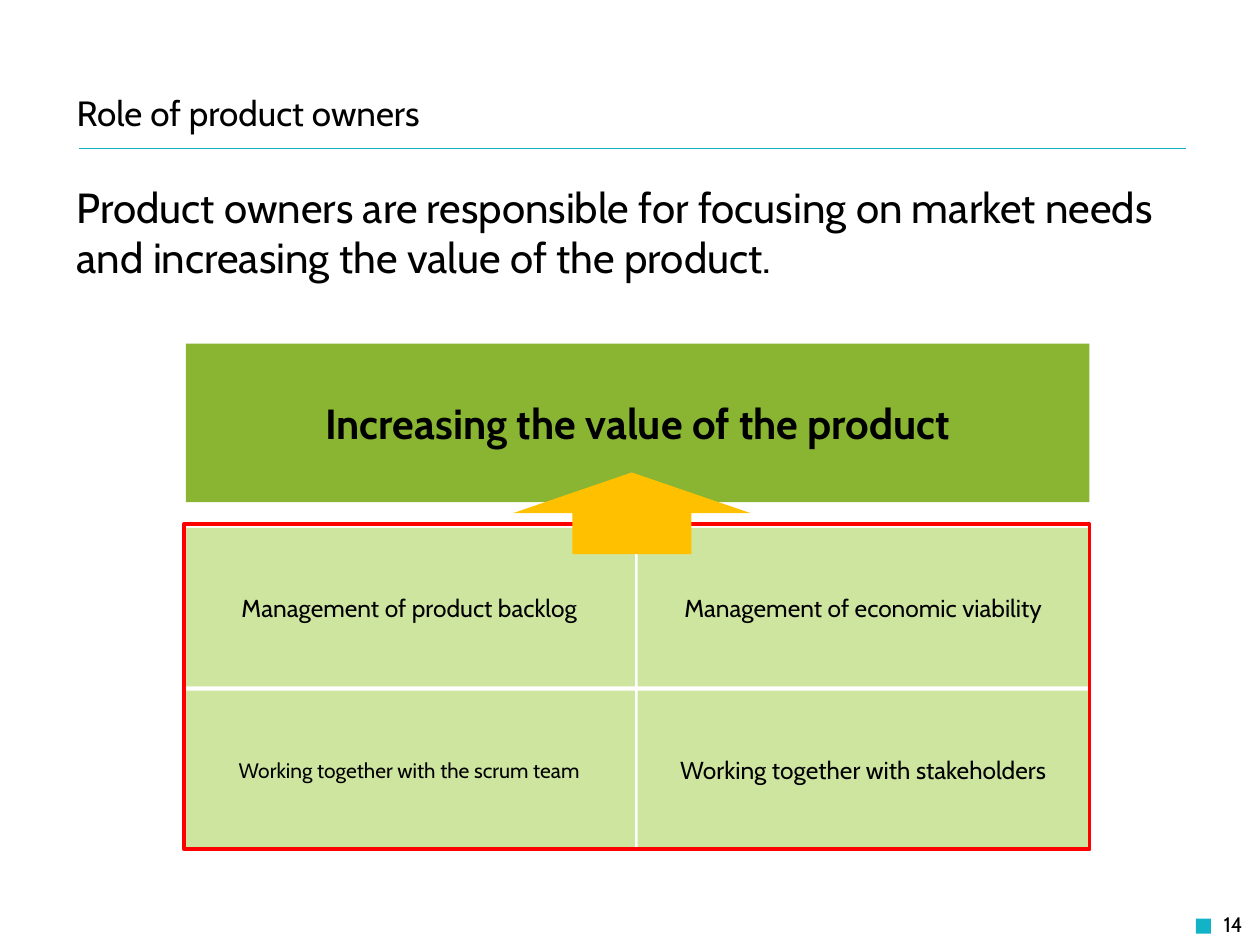
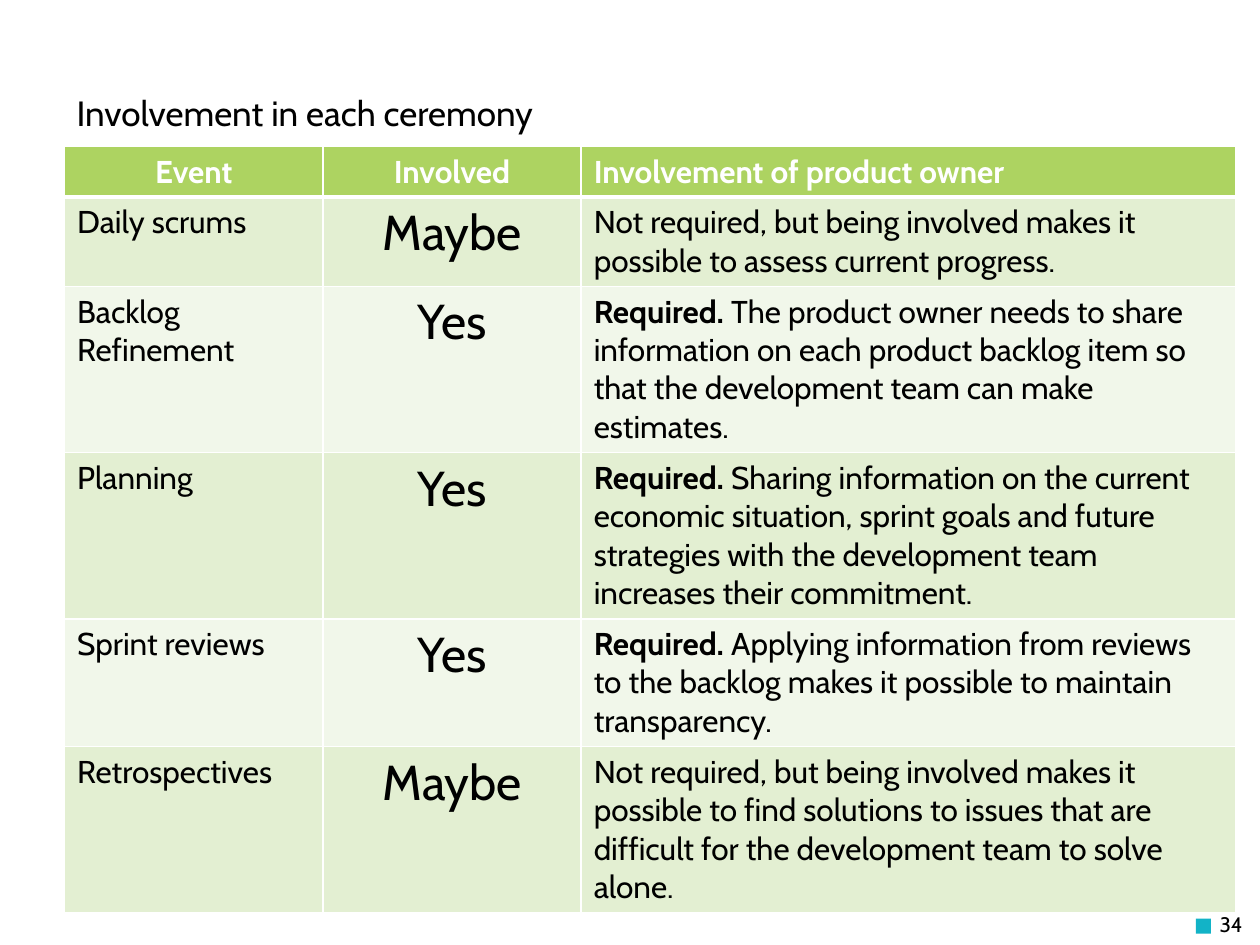
from dataclasses import dataclass

import pptx
import pptx.dml.color
import pptx.enum.shapes
import pptx.enum.text
import pptx.oxml
import pptx.oxml.ns
import pptx.util

Pt = pptx.util.Pt
SHAPES = pptx.enum.shapes.MSO_SHAPE
ALIGN = pptx.enum.text.PP_ALIGN
ANCHOR = pptx.enum.text.MSO_ANCHOR


@dataclass(frozen=True)
class Theme:
    font: str = "Cabin"
    ink: str = "000000"
    paper: str = "FFFFFF"
    accent: str = "12B3C7"
    goal: str = "89B532"
    duty: str = "CEE5A0"
    frame: str = "FF0000"
    arrow: str = "FFC000"
    header: str = "ADD361"
    bands: tuple = ("E3EFD2", "F1F7EA")
    title_size: float = 20
    lead_size: float = 24
    table_size: float = 18
    answer_size: float = 28
    duty_size: float = 14
    small_size: float = 12


THEME = Theme()

DUTIES = [
    [("Management of product backlog", THEME.duty_size),
     ("Management of economic viability", THEME.duty_size)],
    [("Working together with the scrum team", THEME.small_size),
     ("Working together with stakeholders", THEME.duty_size)],
]

COLUMN_WIDTHS = [147.6, 147.6, 374]
ROW_HEIGHTS = [28.5, 51, 95, 95, 73, 95]
HEADINGS = ["Event", "Involved", "Involvement of product owner"]
# Event, answer, bold opening, explanation
CEREMONIES = [
    ("Daily scrums", "Maybe", "",
     "Not required, but being involved makes it possible to assess current progress."),
    ("Backlog\nRefinement", "Yes", "Required. ",
     "The product owner needs to share information on each product backlog item "
     "so that the development team can make estimates."),
    ("Planning", "Yes", "Required. ",
     "Sharing information on the current economic situation, sprint goals and "
     "future strategies with the development team increases their commitment."),
    ("Sprint reviews", "Yes", "Required. ",
     "Applying information from reviews to the backlog makes it possible to "
     "maintain transparency."),
    ("Retrospectives", "Maybe", "",
     "Not required, but being involved makes it possible to find solutions to "
     "issues that are difficult for the development team to solve alone."),
]


def rgb(code):
    return pptx.dml.color.RGBColor.from_string(code)


def write(frame, text, size, color=THEME.ink, bold=False, align=ALIGN.LEFT, opening=""):
    """Fill a text frame, one paragraph per line, after an optional bold opening."""
    for number, line in enumerate(text.split("\n")):
        para = frame.add_paragraph() if number else frame.paragraphs[0]
        para.alignment = align
        pieces = [(line, bold)]
        if opening and number == 0:
            pieces.insert(0, (opening, True))
        for piece, weight in pieces:
            span = para.add_run()
            span.text = piece
            span.font.name = THEME.font
            span.font.size = Pt(size)
            span.font.bold = weight
            span.font.color.rgb = rgb(color)


def add_text(page, area, text, size, anchor=ANCHOR.MIDDLE, **style):
    frame = page.shapes.add_textbox(*map(Pt, area)).text_frame
    frame.word_wrap = True
    frame.vertical_anchor = anchor
    write(frame, text, size, **style)


def add_block(page, area, fill=None, line=None, kind=SHAPES.RECTANGLE):
    block = page.shapes.add_shape(kind, *map(Pt, area))
    block.shadow.inherit = False
    if fill:
        block.fill.solid()
        block.fill.fore_color.rgb = rgb(fill)
    else:
        block.fill.background()
    if line:
        block.line.color.rgb = rgb(line)
        block.line.width = Pt(2)
    else:
        block.line.fill.background()
    return block


def add_label_block(page, area, fill, text, size, bold=False):
    frame = add_block(page, area, fill).text_frame
    frame.word_wrap = True
    frame.vertical_anchor = ANCHOR.MIDDLE
    write(frame, text, size, bold=bold, align=ALIGN.CENTER)


def add_rule(page, left, right, top):
    rule = page.shapes.add_connector(
        pptx.enum.shapes.MSO_CONNECTOR.STRAIGHT, Pt(left), Pt(top), Pt(right), Pt(top))
    rule.line.color.rgb = rgb(THEME.accent)
    rule.line.width = Pt(0.25)
    rule._element.spPr.append(pptx.oxml.parse_xml(
        f'<a:effectLst {pptx.oxml.ns.nsdecls("a")}/>'))


def add_page(deck, title, number):
    """Add a blank page with the shared rule, marker, title and page number."""
    page = deck.slides.add_slide(deck.slide_layouts[6])
    page.background.fill.solid()
    page.background.fill.fore_color.rgb = rgb(THEME.paper)
    add_block(page, (683.3, 524.9, 8.64, 8.64), THEME.accent)
    add_rule(page, 45.4, 677.5, 85)
    add_text(page, (36.7, 51.8, 493.2, 25.2), title, THEME.title_size)
    add_text(page, (549.4, 513.4, 167.8, 28.8), str(number), THEME.small_size,
             align=ALIGN.RIGHT)
    return page


def paint_cell(cell, fill, top=1, bottom=1):
    """Give a cell its borders, then its fill."""
    properties = cell._tc.get_or_add_tcPr()
    for side, width in (("L", 1), ("R", 1), ("T", top), ("B", bottom)):
        properties.append(pptx.oxml.parse_xml(
            f'<a:ln{side} {pptx.oxml.ns.nsdecls("a")} w="{Pt(width)}"><a:solidFill>'
            f'<a:srgbClr val="{THEME.paper}"/></a:solidFill></a:ln{side}>'))
    cell.fill.solid()
    cell.fill.fore_color.rgb = rgb(fill)


def add_ceremony_table(page, left, top):
    table = page.shapes.add_table(
        len(ROW_HEIGHTS), len(COLUMN_WIDTHS), Pt(left), Pt(top),
        Pt(sum(COLUMN_WIDTHS)), Pt(sum(ROW_HEIGHTS))).table
    table.first_row = table.horz_banding = False
    for column, width in zip(table.columns, COLUMN_WIDTHS):
        column.width = Pt(width)
    for row, height in zip(table.rows, ROW_HEIGHTS):
        row.height = Pt(height)

    for column, heading in enumerate(HEADINGS):
        cell = table.cell(0, column)
        paint_cell(cell, THEME.header, bottom=3)
        write(cell.text_frame, heading, THEME.table_size, color=THEME.paper, bold=True,
              align=ALIGN.LEFT if column == 2 else ALIGN.CENTER)

    for row, (event, answer, opening, reason) in enumerate(CEREMONIES, start=1):
        cells = [table.cell(row, column) for column in range(len(HEADINGS))]
        for cell in cells:
            paint_cell(cell, THEME.bands[(row - 1) % 2], top=3 if row == 1 else 1)
        write(cells[0].text_frame, event, THEME.table_size)
        write(cells[1].text_frame, answer, THEME.answer_size, align=ALIGN.CENTER)
        write(cells[2].text_frame, reason, THEME.table_size, opening=opening)


def add_duty_grid(page, left, top, width, height, column_step, row_step):
    for row, duties in enumerate(DUTIES):
        for column, (text, size) in enumerate(duties):
            area = (left + column * column_step, top + row * row_step, width, height)
            add_label_block(page, area, THEME.duty, text, size)


def build_role_page(deck):
    page = add_page(deck, "Role of product owners", 14)
    add_text(page, (36.7, 100.1, 663.1, 414),
             "Product owners are responsible for focusing on market needs "
             "and increasing the value of the product.",
             THEME.lead_size, anchor=ANCHOR.TOP)
    add_label_block(page, (106.3, 196.4, 516.2, 90.6), THEME.goal,
                    "Increasing the value of the product", THEME.lead_size, bold=True)
    add_duty_grid(page, left=105, top=301.7, width=257.8, height=90.6,
                  column_step=259.4, row_step=93)
    add_block(page, (105, 299.5, 517.7, 185.8), line=THEME.frame)
    add_block(page, (293, 270, 136.1, 46.6), THEME.arrow, kind=SHAPES.UP_ARROW)


def build_ceremony_page(deck):
    page = add_page(deck, "Involvement in each ceremony", 34)
    add_ceremony_table(page, 36.9, 83.8)


def main():
    deck = pptx.Presentation()
    deck.slide_width, deck.slide_height = Pt(720), Pt(540)
    build_role_page(deck)
    build_ceremony_page(deck)
    deck.save("out.pptx")


if __name__ == "__main__":
    main()
